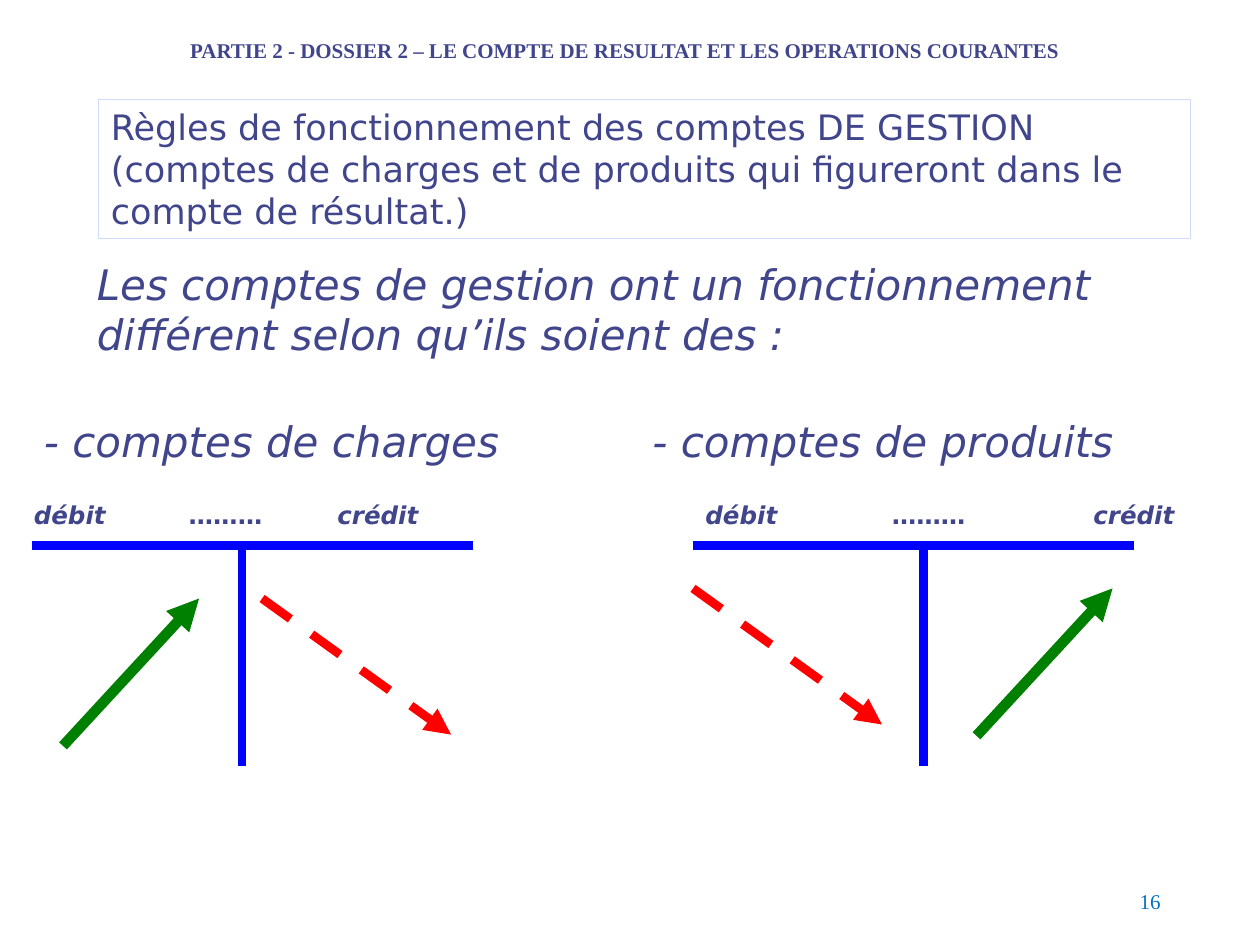
import pptx
import pptx.util
import pptx.dml.color
import pptx.enum.dml
import pptx.enum.shapes
import pptx.enum.text
import pptx.oxml.ns
from lxml import etree

Inches, Pt = pptx.util.Inches, pptx.util.Pt
ALIGN = pptx.enum.text.PP_ALIGN
ANCHOR = pptx.enum.text.MSO_ANCHOR
AUTO_SIZE = pptx.enum.text.MSO_AUTO_SIZE
DASH = pptx.enum.dml.MSO_LINE.DASH

INK, BLUE, GREEN, RED = "40458C", "0000FF", "008000", "FF0000"
SANS, SERIF = "DejaVu Sans", "Times New Roman"


def color(hex_string):
    return pptx.dml.color.RGBColor.from_string(hex_string)


def place(shape, left, top, width, height):
    shape.left, shape.top = Inches(left), Inches(top)
    shape.width, shape.height = Inches(width), Inches(height)


def write(shape, text, size, font=SANS, ink=INK, bold=False, italic=False,
          align=ALIGN.LEFT, anchor=ANCHOR.TOP, auto_size=AUTO_SIZE.SHAPE_TO_FIT_TEXT):
    frame = shape.text_frame
    frame.text = text
    frame.word_wrap = True
    frame.auto_size = auto_size
    frame.vertical_anchor = anchor
    paragraph = frame.paragraphs[0]
    paragraph.alignment = align
    run_font = paragraph.runs[0].font
    run_font.name, run_font.size = font, Pt(size)
    run_font.bold, run_font.italic = bold, italic
    run_font.color.rgb = color(ink)


def add_text(slide, box, text, size, **style):
    text_box = slide.shapes.add_textbox(*map(Inches, box))
    write(text_box, text, size, **style)


def add_line(slide, start, end, ink, width, dash=None, arrow=False):
    line = slide.shapes.add_connector(
        pptx.enum.shapes.MSO_CONNECTOR.STRAIGHT, *map(Inches, start + end))
    line.line.color.rgb = color(ink)
    line.line.width = Pt(width)
    if dash:
        line.line.dash_style = dash
    qn = pptx.oxml.ns.qn
    properties = line.element.find(qn("p:spPr"))
    if arrow:
        etree.SubElement(properties.find(qn("a:ln")), qn("a:tailEnd"), type="triangle")
    etree.SubElement(properties, qn("a:effectLst"))


def add_heading(slide, left, top, width):
    # Framed title
    title = slide.shapes.title
    place(title, left, top, width, 1.1)
    title.line.color.rgb = color("CFDBFD")
    title.line.width = Pt(0.75)
    write(title, "Règles de fonctionnement des comptes DE GESTION (comptes de charges "
                 "et de produits qui figureront dans le compte de résultat.)", 20)
    # Introduction
    add_text(slide, (left - 0.11, top + 1.21, 9.08, 0.9),
             "Les comptes de gestion ont un fonctionnement différent selon "
             "qu’ils soient des :", 24, italic=True)


def add_account(slide, left, top, name, name_x, debit_x, dots_x, credit_x,
                credit_align, stem_x, rise, fall):
    """Draw a T account; every x, rise and fall is relative to left and top."""
    # Account name
    add_text(slide, (left + name_x, top, 4.25, 0.5), name, 24, italic=True)

    # T-shaped frame
    bar_y = top + 1.08
    add_line(slide, (left, bar_y), (left + 3.5, bar_y), BLUE, 5)
    add_line(slide, (left + stem_x, bar_y), (left + stem_x, bar_y + 1.75), BLUE, 5)

    # Increase and decrease arrows
    x, y = left + rise[0], top + rise[1]
    add_line(slide, (x, y), (x + 1.08, y - 1.17), GREEN, 6, arrow=True)
    x, y = left + fall[0], top + fall[1]
    add_line(slide, (x, y), (x + 1.5, y + 1.08), RED, 5, dash=DASH, arrow=True)

    # Column labels
    label_y = top + 0.67
    add_text(slide, (left + debit_x, label_y, 1.17, 0.34), "débit", 14,
             bold=True, italic=True)
    add_text(slide, (left + dots_x, label_y, 1.58, 0.34), "………", 14,
             bold=True, align=ALIGN.CENTER)
    add_text(slide, (left + credit_x, label_y, 1.17, 0.34), "crédit", 14,
             bold=True, italic=True, align=credit_align)


def add_header_and_number(slide):
    add_text(slide, (0.25, 0.25, 9.42, 0.3),
             "PARTIE 2 - DOSSIER 2 – LE COMPTE DE RESULTAT ET LES OPERATIONS COURANTES",
             12, font=SERIF, bold=True, align=ALIGN.CENTER)
    add_text(slide, (7.06, 6.95, 2.25, 0.4), "16", 12, font=SERIF, ink="0070C0",
             align=ALIGN.RIGHT, anchor=ANCHOR.MIDDLE, auto_size=AUTO_SIZE.NONE)


def main():
    presentation = pptx.Presentation()
    presentation.slide_width, presentation.slide_height = Inches(10), Inches(7.5)
    slide = presentation.slides.add_slide(presentation.slide_layouts[5])

    add_heading(slide, 0.78, 0.79, 8.67)
    add_account(slide, 0.25, 3.25, "- comptes de charges", name_x=0, debit_x=-0.08,
                dots_x=0.75, credit_x=2.33, credit_align=ALIGN.LEFT, stem_x=1.67,
                rise=(0.25, 2.67), fall=(1.83, 1.5))
    add_account(slide, 5.5, 3.25, "- comptes de produits", name_x=-0.42, debit_x=0,
                dots_x=1.08, credit_x=2.75, credit_align=ALIGN.RIGHT, stem_x=1.83,
                rise=(2.25, 2.59), fall=(0, 1.42))
    add_header_and_number(slide)
    presentation.save("out.pptx")


if __name__ == "__main__":
    main()
